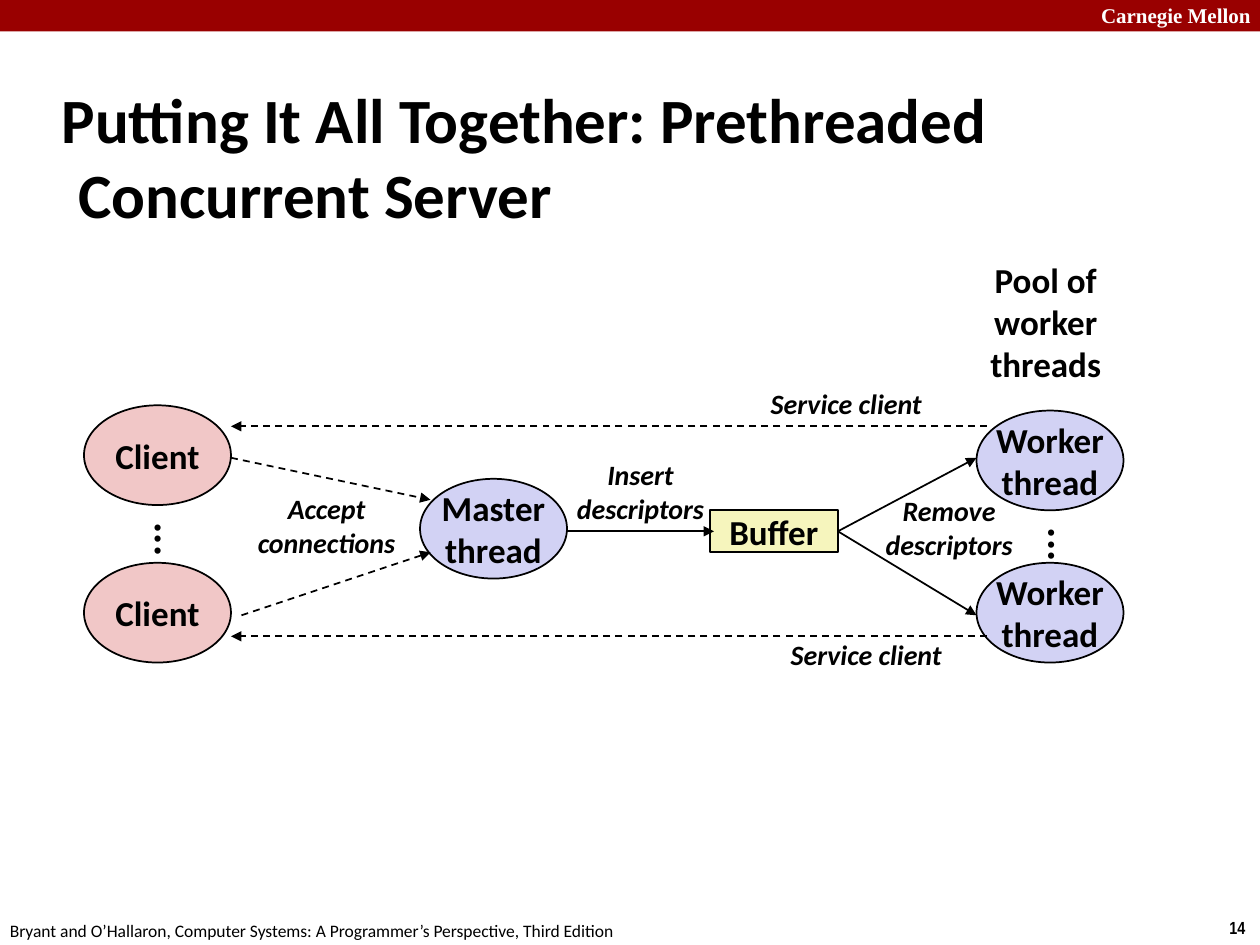
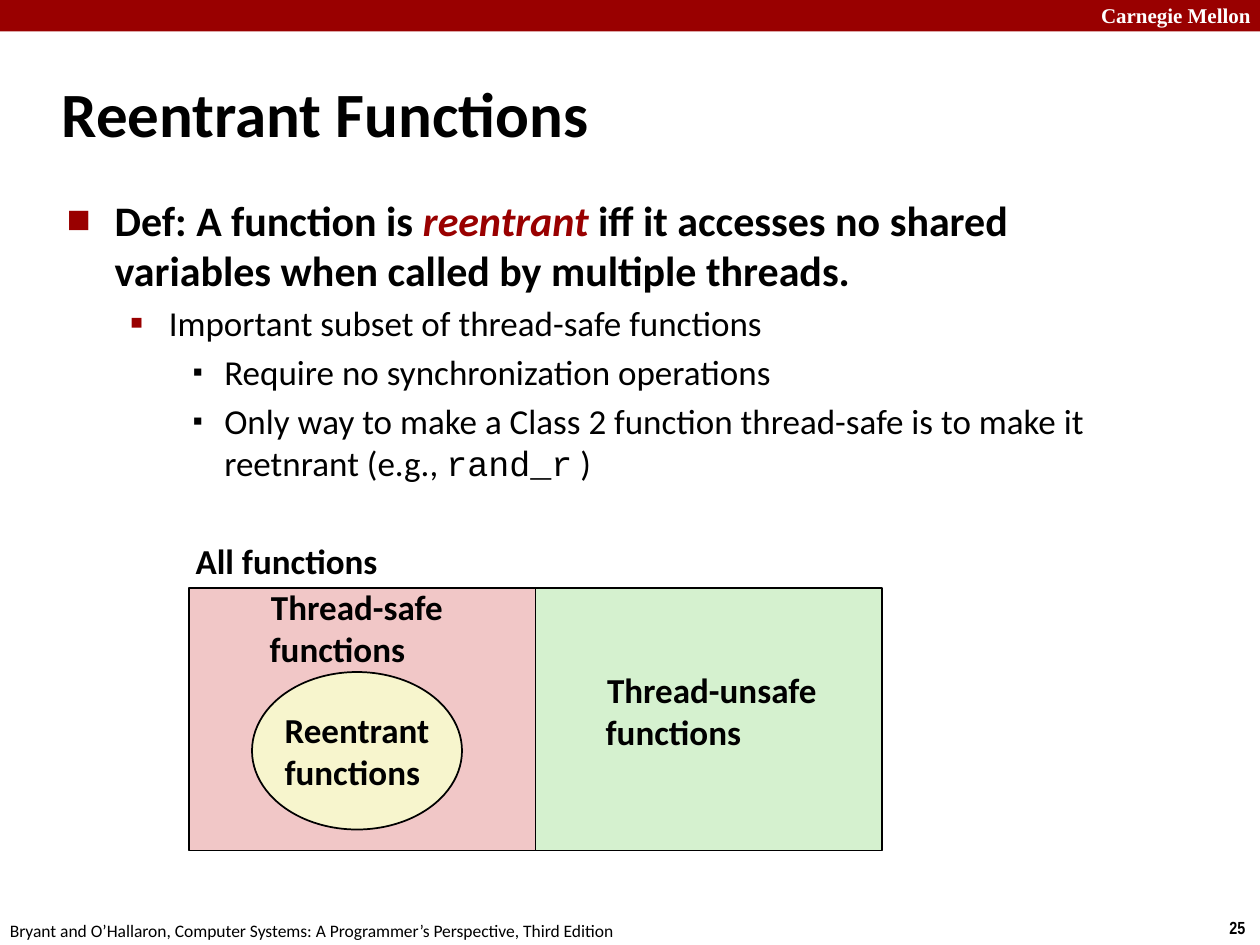
"""Two lecture slides: a prethreaded server diagram and reentrant functions."""
from lxml import etree
from pptx import Presentation, util as u
from pptx.dml.color import RGBColor
from pptx.enum import dml, shapes, text
from pptx.oxml.ns import qn

COLORS = {"black": "000000", "white": "FFFFFF", "crimson": "990000", "lilac": "D2D2F4",
          "pink": "F1C7C7", "yellow": "F6F5BD", "cream": "F7F5CD", "green": "D5F1CF"}
CELL = u.Inches(1) / 12
FLOW_TOP = 0.6
LEFT, CENTER = text.PP_ALIGN.LEFT, text.PP_ALIGN.CENTER
OVAL, BOX = shapes.MSO_SHAPE.OVAL, shapes.MSO_SHAPE.RECTANGLE

FURNITURE = [
    ("Carnegie Mellon", (8.64, -0.03, 1.43, 0.3), 12, "Times New Roman", "white", True),
    ("{number}", (9.66, 7.23, 0.34, 0.27), 10, "Arial Narrow", "black", True),
    ("Bryant and O’Hallaron, Computer Systems: A Programmer’s Perspective, Third Edition",
     (-0.02, 7.25, 5.08, 0.27), 10, "Calibri", "black", False),
]

ACTOR = (14, 9.5)
ACTORS = [
    (["Master", "thread"], OVAL, (40, 45, *ACTOR), "lilac"),
    (["Buffer"], BOX, (67.6, 48, 12.2, 4), "yellow"),
    (["Worker", "thread"], OVAL, (93, 38.5, *ACTOR), "lilac"),
    (["Worker", "thread"], OVAL, (93, 53, *ACTOR), "lilac"),
    (["Client"], OVAL, (8, 38, *ACTOR), "pink"),
    (["Client"], OVAL, (8, 53, *ACTOR), "pink"),
]
FLOWS = [
    ((54, 50), (68, 50), False),
    ((79.8, 50), (93, 43), False),
    ((79.8, 50), (93, 58), False),
    ((22, 43), (41, 47), True),
    ((23, 58), (41, 52), True),
    ((94, 40), (22, 40), True),
    ((94, 60), (22, 60), True),
]
FLOW_LABELS = [
    (["Accept", "connections"], (31.1, 49.4), 16.3),
    (["Insert", "descriptors"], (61, 46.2), 15.4),
    (["Remove", "descriptors"], (90.4, 49.6), 15.4),
    (["Service client"], (80.6, 37.8), 17.6),
    (["Service client"], (82.5, 61.7), 17.6),
]
POOL = (["Pool of", "worker", "threads"], (99.6, 30), 13.9)
ELLIPSES = [(12.7, 48), (97.8, 48.5)]

DEFINITION = [
    (0, [("Def: A function is ", ""), ("reentrant ", "term"),
         ("iff it accesses no shared variables when called by multiple threads.", "")]),
    (1, [("Important subset of thread-safe functions", "")]),
    (2, [("Require no synchronization operations", "")]),
    (2, [("Only way to make a Class 2 function thread-safe is to make it reetnrant (e.g., ", ""),
         ("rand_r", "code"), (" )", "")]),
]
LEVELS = [
    {"left": 0.38, "hang": 0.38, "bullet": "■", "color": "crimson", "share": 60, "size": 24},
    {"left": 0.81, "hang": 0.31, "bullet": "▪", "color": "crimson", "share": 110, "size": 20},
    {"left": 1.25, "hang": 0.25, "bullet": "▪", "color": "black", "share": 80, "size": 20},
]
FUNCTION_SETS = [
    ([], BOX, (18, 56, 33, 25), "pink"),
    ([], BOX, (51, 56, 33, 25), "green"),
    (["Reentrant", "functions"], OVAL, (24, 64, 20, 15), "cream"),
]
SET_LABELS = [
    (["All functions"], (27.3, 53.4), 20),
    (["Thread-unsafe", "functions"], (67.8, 67.7), 22.6),
    (["Thread-safe", "functions"], (34, 59.8), 19),
]


def color(name):
    return RGBColor.from_string(COLORS[name])


def cells(*counts):
    return [u.Emu(round(count * CELL)) for count in counts]


def inches(*lengths):
    return [u.Inches(length) for length in lengths]


def style(run, size, font="Calibri", ink="black", bold=True, italic=False):
    run.font.size, run.font.name = u.Pt(size), font
    run.font.bold, run.font.italic = bold, italic
    run.font.color.rgb = color(ink)


def write(frame, lines, size, italic=False, rest=CENTER):
    frame.text = "\n".join(lines)
    frame.word_wrap = False
    frame.vertical_anchor = text.MSO_ANCHOR.MIDDLE
    for index, paragraph in enumerate(frame.paragraphs):
        paragraph.alignment = rest if index else CENTER
        for run in paragraph.runs:
            style(run, size, italic=italic)


def add_node(slide, lines, outline, grid, fill, top=0, rest=CENTER):
    col, row, width, height = grid
    node = slide.shapes.add_shape(outline, *cells(col, row + top, width, height))
    node.shadow.inherit = False
    node.fill.solid()
    node.fill.fore_color.rgb = color(fill)
    node.line.color.rgb = color("black")
    node.line.width = u.Pt(1)
    node.text_frame.margin_top = node.text_frame.margin_bottom = 0
    if lines:
        write(node.text_frame, lines, 20, rest=rest)


def add_label(slide, lines, middle, width, size=20, top=0, italic=False, rest=CENTER):
    height = (0.1 + len(lines) * size * 1.22 / 72) * 12
    col, row = middle
    label = slide.shapes.add_textbox(
        *cells(col - width / 2, row + top - height / 2, width, height))
    write(label.text_frame, lines, size, italic, rest)
    label.text_frame.auto_size = text.MSO_AUTO_SIZE.SHAPE_TO_FIT_TEXT


def add_flow(slide, start, end, dashed):
    (x1, y1), (x2, y2) = start, end
    flow = slide.shapes.add_connector(
        shapes.MSO_CONNECTOR.STRAIGHT, *cells(x1, y1 + FLOW_TOP, x2, y2 + FLOW_TOP))
    flow.line.color.rgb = color("black")
    flow.line.width = u.Pt(1)
    if dashed:
        flow.line.dash_style = dml.MSO_LINE.DASH
    properties = flow.element.spPr
    etree.SubElement(properties.find(qn("a:ln")), qn("a:tailEnd"), type="triangle")
    etree.SubElement(properties, qn("a:effectLst"))


def add_ellipsis(slide, col, row):
    dots = slide.shapes.add_textbox(*cells(col, row + FLOW_TOP, 7.3, 4.4))
    write(dots.text_frame, ["..."], 24)
    dots.text_frame.auto_size = text.MSO_AUTO_SIZE.SHAPE_TO_FIT_TEXT
    dots.text_frame._txBody.bodyPr.set("vert", "eaVert")


def move(part, area):
    part.left, part.top, part.width, part.height = inches(*area)
    part.text_frame.auto_size = text.MSO_AUTO_SIZE.NONE


def indent(paragraph, left, hang):
    properties = paragraph._p.get_or_add_pPr()
    properties.set("marL", str(u.Inches(left)))
    properties.set("indent", str(-u.Inches(hang)))
    return properties


def start_slide(deck, layout, number, heading, area):
    slide = deck.slides.add_slide(deck.slide_layouts[layout])
    band = slide.shapes.add_shape(BOX, 0, 0, deck.slide_width, u.Inches(0.25))
    band.shadow.inherit = False
    band.fill.solid()
    band.fill.fore_color.rgb = color("crimson")
    band.line.fill.background()
    for words, place, size, font, ink, bold in FURNITURE:
        note = slide.shapes.add_textbox(*inches(*place))
        note.text_frame.text = words.format(number=number)
        note.text_frame.word_wrap = False
        style(note.text_frame.paragraphs[0].runs[0], size, font, ink, bold)
    title = slide.shapes.title
    move(title, area)
    title.text_frame.text = heading
    title.text_frame.vertical_anchor = text.MSO_ANCHOR.MIDDLE
    paragraph = title.text_frame.paragraphs[0]
    paragraph.alignment = LEFT
    indent(paragraph, 0.13, 0.13)
    style(paragraph.runs[0], 36)
    return slide


def fill_body(body):
    for index, (depth, parts) in enumerate(DEFINITION):
        paragraph = body.paragraphs[0] if index == 0 else body.add_paragraph()
        paragraph.level = depth
        level = LEVELS[depth]
        properties = indent(paragraph, level["left"], level["hang"])
        tint = etree.SubElement(properties, qn("a:buClr"))
        etree.SubElement(tint, qn("a:srgbClr"), val=COLORS[level["color"]])
        etree.SubElement(properties, qn("a:buSzPct"), val=str(level["share"] * 1000))
        etree.SubElement(properties, qn("a:buFont"), typeface="Calibri")
        etree.SubElement(properties, qn("a:buChar"), char=level["bullet"])
        paragraph.space_before = u.Pt(0.2 * level["size"] if index else 0)
        for words, role in parts:
            run = paragraph.add_run()
            run.text = words
            style(run, level["size"], "Courier New" if role == "code" else "Calibri",
                  "crimson" if role == "term" else "black", depth == 0, role == "term")


def build_server(deck):
    slide = start_slide(deck, 5, 14, "Putting It All Together: Prethreaded Concurrent Server",
                        (0.39, 0.64, 9.36, 1.19))
    for actor in ACTORS:
        add_node(slide, *actor, top=FLOW_TOP)
    for flow in FLOWS:
        add_flow(slide, *flow)
    for label in FLOW_LABELS:
        add_label(slide, *label, size=16, top=FLOW_TOP, italic=True)
    add_label(slide, *POOL, top=FLOW_TOP)
    for corner in ELLIPSES:
        add_ellipsis(slide, *corner)


def build_reentrant(deck):
    slide = start_slide(deck, 1, 25, "Reentrant Functions", (0.39, 0.48, 8.3, 0.83))
    body = slide.placeholders[1]
    move(body, (0.43, 1.49, 8.64, 2.57))
    fill_body(body.text_frame)
    for function_set in FUNCTION_SETS:
        add_node(slide, *function_set, rest=LEFT)
    for label in SET_LABELS:
        add_label(slide, *label, rest=LEFT)


def main():
    deck = Presentation()
    deck.slide_width, deck.slide_height = inches(10, 7.5)
    build_server(deck)
    build_reentrant(deck)
    deck.save("out.pptx")


if __name__ == "__main__":
    main()
